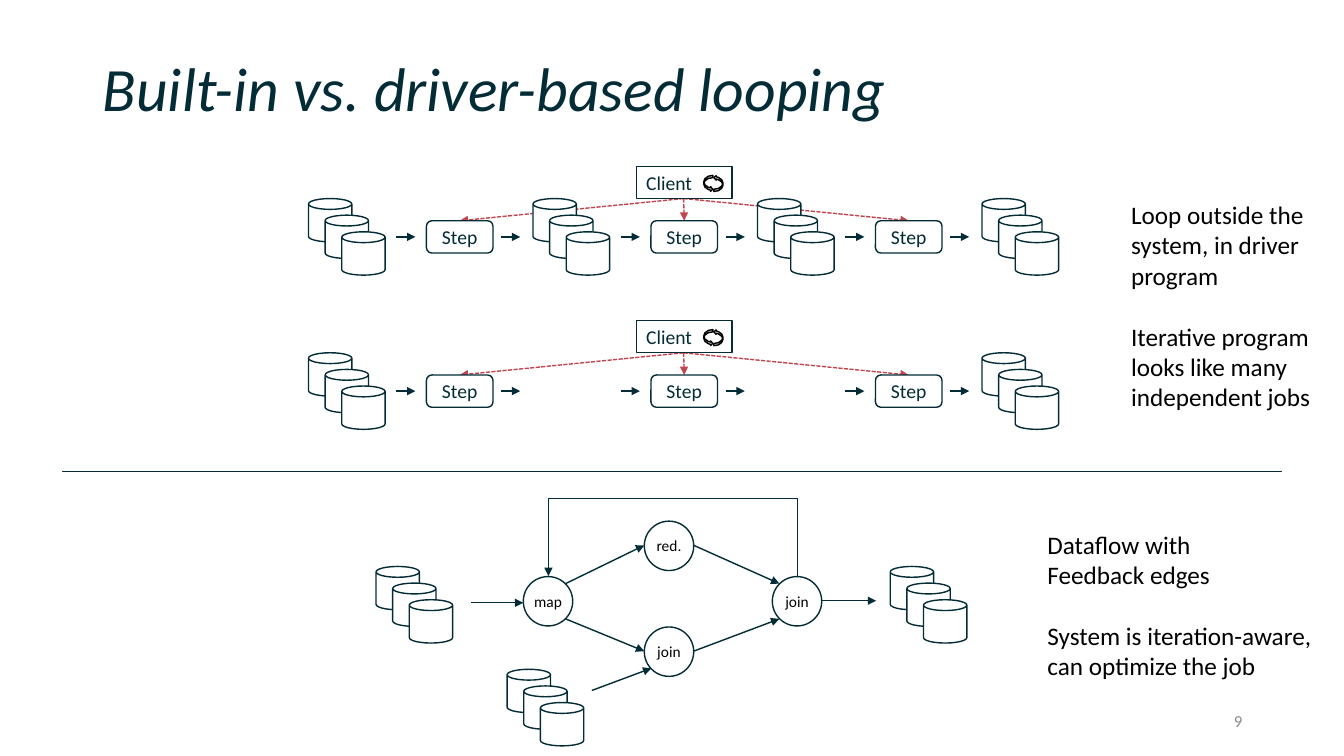
from pptx import Presentation
from pptx.dml.color import RGBColor
from pptx.enum import dml, shapes, text
from pptx.oxml import ns
from pptx.util import Inches, Pt
from lxml import etree

INK = RGBColor(0x03, 0x2C, 0x36)
RED = RGBColor(0xC2, 0x45, 0x4E)
WHITE = RGBColor(0xFF, 0xFF, 0xFF)
BLACK = RGBColor(0, 0, 0)
GRAY = RGBColor(0x8C, 0x8C, 0x8C)
FONT = "Calibri"
SHAPE = shapes.MSO_SHAPE
ALIGN = text.PP_ALIGN
CAN = 0.43
CAN_SHIFT = 0.165
NODE = 0.49


def style_text(frame, size, color, align=ALIGN.LEFT):
    """Format every paragraph of a text frame."""
    for para in frame.paragraphs:
        para.alignment = align
        for span in para.runs:
            span.font.name = FONT
            span.font.size = Pt(size)
            span.font.color.rgb = color


def add_outlined(parts, kind, left, top, width, height, color=INK):
    """Add a white preset shape with a thin outline."""
    shape = parts.add_shape(kind, Inches(left), Inches(top), Inches(width), Inches(height))
    shape.shadow.inherit = False
    shape.fill.solid()
    shape.fill.fore_color.rgb = WHITE
    shape.line.color.rgb = color
    shape.line.width = Pt(1)
    return shape


def add_label(shape, label, size, color):
    """Centre a label inside a shape."""
    frame = shape.text_frame
    frame.text = label
    frame.word_wrap = False
    frame.vertical_anchor = text.MSO_ANCHOR.MIDDLE
    frame.margin_left = frame.margin_right = frame.margin_top = frame.margin_bottom = 0
    style_text(frame, size, color, ALIGN.CENTER)


def add_line(parts, start, end, color=INK, weight=1, dashed=False, arrow=True,
             kind=shapes.MSO_CONNECTOR.STRAIGHT):
    """Add a connector, with an arrowhead at its end unless told otherwise."""
    line = parts.add_connector(kind, *(Inches(value) for value in (*start, *end)))
    line.line.color.rgb = color
    line.line.width = Pt(weight)
    if dashed:
        line.line.dash_style = dml.MSO_LINE.SQUARE_DOT
    if arrow:
        outline = line.line._get_or_add_ln()
        etree.SubElement(outline, ns.qn("a:tailEnd"), type="triangle")
    etree.SubElement(line._element.spPr, ns.qn("a:effectLst"))
    return line


def add_feedback(parts, start_x, end_x, level, rise):
    """Add the bent arrow that runs up, back and down to the loop's first node."""
    span, depth = start_x - end_x, 0.01
    left, top = (start_x + end_x - depth) / 2, level - span / 2
    line = add_line(parts, (left, top), (left + depth, top + span),
                    kind=shapes.MSO_CONNECTOR.ELBOW)
    properties = line._element.spPr
    frame = properties.find(ns.qn("a:xfrm"))
    frame.set("rot", "16200000")
    frame.set("flipV", "1")
    adjustments = properties.find(ns.qn("a:prstGeom")).get_or_add_avLst()
    etree.SubElement(adjustments, ns.qn("a:gd"), name="adj1",
                     fmla=f"val {round(rise / depth * 100000)}")


def add_store(parts, left, top):
    """Add a stack of three overlapping cylinders."""
    for index in range(3):
        shift = index * CAN_SHIFT
        add_outlined(parts, SHAPE.CAN, left + shift, top + shift, CAN, CAN)


def add_client(page, left, top):
    """Add the client box with its loop symbol."""
    parts = page.shapes.add_group_shape().shapes
    client = add_outlined(parts, SHAPE.RECTANGLE, left, top, 0.95, 0.32)
    client.text_frame.text = "Client"
    client.text_frame.vertical_anchor = text.MSO_ANCHOR.MIDDLE
    style_text(client.text_frame, 14, INK)
    for offset, rotation in ((0.67, 0), (0.77, 180)):
        arrow = add_outlined(parts, SHAPE.CURVED_RIGHT_ARROW, left + offset, top + 0.09,
                             0.09, 0.16, BLACK)
        arrow.rotation = rotation


def add_driver_row(page, left, top, width, stores):
    """Add a driver loop of three steps, with stores at the given stations."""
    pitch = width / 3
    middle = top + 0.38
    for index in range(3):
        add_line(page.shapes, (left + 3.72, top), (left + 1.5 + index * pitch, top + 0.22),
                 RED, dashed=True)
    parts = page.shapes.add_group_shape().shapes
    for station in stores:
        add_store(parts, left + station * pitch, top)
    for index in range(3):
        start = left + index * pitch
        step = add_outlined(parts, SHAPE.ROUNDED_RECTANGLE, start + 1.17, top + 0.22, 0.66, 0.32)
        add_label(step, "Step", 14, INK)
        for offset in (0.87, 1.91):
            add_line(parts, (start + offset, middle), (start + offset + 0.19, middle))
    add_client(page, left + 3.25, top - 0.32)


def add_dataflow(page, left, top):
    """Add the dataflow graph with its feedback edge."""
    parts = page.shapes.add_group_shape().shapes
    for x, y in ((0, 0.69), (1.3, 1.71), (5.1, 0.69)):
        add_store(parts, left + x, top + y)
    nodes = (("map", 1.46, 0.79), ("join", 2.66, 1.29), ("red.", 2.66, 0.24), ("join", 3.93, 0.79))
    for label, x, y in nodes:
        node = add_outlined(parts, SHAPE.OVAL, left + x, top + y, NODE, NODE)
        add_label(node, label, 11, BLACK)
    edges = (
        (0.94, 1.05, 1.46, 1.05), (1.88, 1.21, 2.66, 1.53), (1.88, 0.86, 2.66, 0.48),
        (3.15, 0.48, 4.0, 0.86), (3.15, 1.53, 4.0, 1.21), (2.14, 1.92, 2.73, 1.7),
        (4.42, 1.03, 4.96, 1.03),
    )
    for x1, y1, x2, y2 in edges:
        add_line(parts, (left + x1, top + y1), (left + x2, top + y2))
    add_feedback(parts, left + 4.18, left + 1.71, top + 0.79, 0.79)


def add_note(page, left, top, width, height, blocks, wrap):
    """Add a side note whose blocks of lines stand one line apart."""
    box = page.shapes.add_textbox(Inches(left), Inches(top), Inches(width), Inches(height))
    frame = box.text_frame
    frame.word_wrap = wrap
    frame.text = "\n".join("\n".join(block) for block in blocks)
    style_text(frame, 18, BLACK)
    frame.paragraphs[len(blocks[0])].space_before = Pt(22)


def add_title(page, left, top, width, height):
    """Place and format the slide title."""
    title = page.shapes.title
    title.left, title.top = Inches(left), Inches(top)
    title.width, title.height = Inches(width), Inches(height)
    frame = title.text_frame
    frame.text = "Built-in vs. driver-based looping"
    frame.vertical_anchor = text.MSO_ANCHOR.MIDDLE
    style_text(frame, 44, INK)
    frame.paragraphs[0].line_spacing = 0.9
    frame.paragraphs[0].runs[0].font.italic = True


def add_page_number(page, left, top, width, height):
    """Add the slide number at the lower right."""
    box = page.shapes.add_textbox(Inches(left), Inches(top), Inches(width), Inches(height))
    box.text_frame.text = "9"
    box.text_frame.word_wrap = True
    box.text_frame.vertical_anchor = text.MSO_ANCHOR.MIDDLE
    style_text(box.text_frame, 12, GRAY, ALIGN.RIGHT)


def main():
    """Build the slide and save the deck."""
    deck = Presentation()
    deck.slide_width, deck.slide_height = Inches(13.33), Inches(7.5)
    page = deck.slides.add_slide(deck.slide_layouts.get_by_name("Title Only"))
    add_title(page, 0.92, 0.4, 11.5, 1.01)
    add_driver_row(page, 3.06, 1.97, 6.68, stores=range(4))
    add_driver_row(page, 3.06, 3.5, 6.68, stores=(0, 3))
    add_line(page.shapes, (0.62, 4.68), (12.72, 4.68), weight=0.5, arrow=False)
    add_dataflow(page, 3.73, 4.93)
    add_note(page, 11.12, 1.93, 2.41, 2.22, (
        ["Loop outside the system, in driver program"],
        ["Iterative program looks like many independent jobs"],
    ), wrap=True)
    add_note(page, 10.29, 5.2, 2.85, 1.62, (
        ["Dataflow with", "Feedback edges"],
        ["System is iteration-aware,", "can optimize the job"],
    ), wrap=False)
    add_page_number(page, 9.42, 6.95, 3, 0.4)
    deck.save("out.pptx")


if __name__ == "__main__":
    main()
